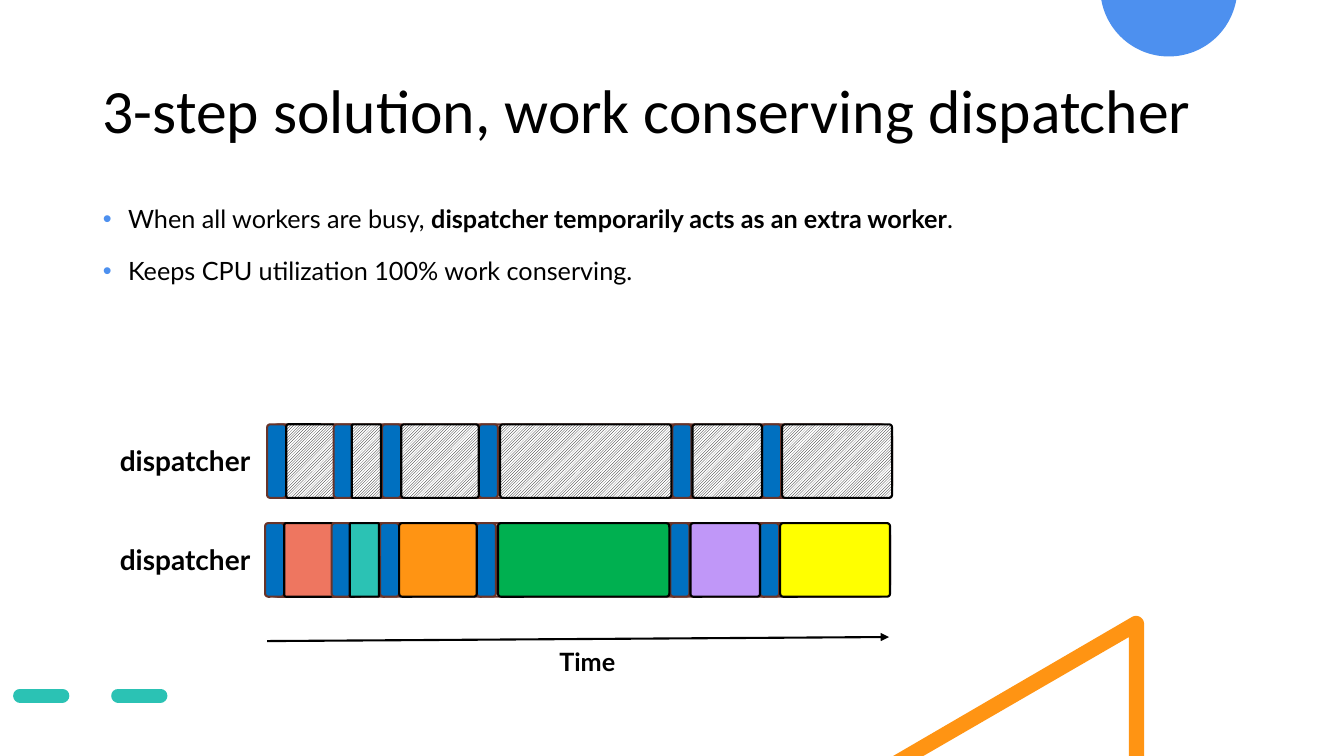
import math
from lxml import etree
from pptx import Presentation
from pptx import util as u
from pptx.dml.color import RGBColor
from pptx.enum import dml, shapes, text
from pptx.oxml.ns import qn

COLORS = {
    "ink": "000000", "paper": "FFFFFF", "ball": "4D90EF", "orange": "FF9413",
    "teal": "2BC2B4", "switch": "0070C0", "frame": "68342A", "coral": "EE7660",
    "green": "00B050", "violet": "C097F8", "yellow": "FFFF00",
}
COLUMNS, ROWS = 133.33, 75  # grid cells of a tenth of an inch


def rgb(name):
    return RGBColor.from_string(COLORS[name])


class SlideKit:
    """Holds the style and the current slide; lengths are grid columns and rows."""

    heading_font, text_font, outline = "Calibri", "Lato", u.Pt(1.5)

    def __init__(self, deck):
        self.cell_w = deck.slide_width / COLUMNS
        self.cell_h = deck.slide_height / ROWS
        self.slide = deck.slides.add_slide(deck.slide_layouts[1])

    def grid(self, col, row):
        return round(col * self.cell_w), round(row * self.cell_h)

    def style(self, paragraph, size, font, bold=None):
        paragraph.font.size, paragraph.font.name = u.Pt(size), font
        paragraph.font.bold, paragraph.font.color.rgb = bold, rgb("ink")
        paragraph.alignment = text.PP_ALIGN.LEFT

    def place(self, holder, col, row, cols, rows, anchor):
        holder.left, holder.top = self.grid(col, row)
        holder.width, holder.height = self.grid(cols, rows)
        holder.text_frame.auto_size = text.MSO_AUTO_SIZE.NONE
        holder.text_frame.vertical_anchor = anchor

    def title(self, wording, *area):
        heading = self.slide.shapes.title
        self.place(heading, *area, text.MSO_ANCHOR.MIDDLE)
        heading.text_frame.text = wording
        line = heading.text_frame.paragraphs[0]
        line.line_spacing = 0.9
        self.style(line, 44, self.heading_font)

    def bullets(self, points, *area):
        """Each point is a list of (wording, bold) runs."""
        body = self.slide.placeholders[1]
        self.place(body, *area, text.MSO_ANCHOR.TOP)
        frame = body.text_frame
        for number, runs in enumerate(points):
            point = frame.add_paragraph() if number else frame.paragraphs[0]
            for wording, bold in runs:
                run = point.add_run()
                run.text, run.font.bold = wording, bold
            self.style(point, 18, self.text_font)
            point.line_spacing = 0.9
            point.space_before, point.space_after = u.Pt(10), u.Pt(8)
            props = point._p.get_or_add_pPr()
            props.set("marL", str(u.Inches(0.25)))
            props.set("indent", str(u.Inches(-0.25)))
            bullet_color = etree.Element(qn("a:buClr"))
            etree.SubElement(bullet_color, qn("a:srgbClr"), val=COLORS["ball"])
            marks = [bullet_color,
                     etree.Element(qn("a:buFont"), typeface="Arial"),
                     etree.Element(qn("a:buChar"), char="•")]
            following = props.find(qn("a:defRPr"))
            for mark in marks:
                following.addprevious(mark)

    def label(self, wording, size, *area):
        box = self.slide.shapes.add_textbox(*self.grid(*area[:2]), *self.grid(*area[2:]))
        box.text_frame.word_wrap = False
        box.text_frame.auto_size = text.MSO_AUTO_SIZE.SHAPE_TO_FIT_TEXT
        box.text_frame.text = wording
        self.style(box.text_frame.paragraphs[0], size, self.text_font, True)

    def bar(self, col, row, cols, rows, fill=None, line="ink", corner=None):
        bar = self.slide.shapes.add_shape(shapes.MSO_SHAPE.ROUNDED_RECTANGLE,
                                          *self.grid(col, row), *self.grid(cols, rows))
        bar.shadow.inherit = False
        if corner is not None:
            bar.adjustments[0] = corner
        if fill == "hatch":
            bar.fill.patterned()
            bar.fill.pattern = dml.MSO_PATTERN.LIGHT_UPWARD_DIAGONAL
            bar.fill.fore_color.rgb = rgb("ink")
            bar.fill.back_color.rgb = rgb("paper")
        elif fill:
            bar.fill.solid()
            bar.fill.fore_color.rgb = rgb(fill)
        else:
            bar.fill.background()
        bar.line.color.rgb, bar.line.width = rgb(line), self.outline

    def line(self, start, end, color, width, dashed=False, arrow=False):
        line = self.slide.shapes.add_connector(shapes.MSO_CONNECTOR.STRAIGHT,
                                               *self.grid(*start), *self.grid(*end))
        line.line.color.rgb, line.line.width = rgb(color), width
        if dashed:
            line.line.dash_style = dml.MSO_LINE.DASH
            line.line._ln.set("cap", "rnd")
        if arrow:
            etree.SubElement(line.line._ln, qn("a:tailEnd"), type="triangle")
        etree.SubElement(line._element.spPr, qn("a:effectLst"))

    def outline_shape(self, points, fill):
        corners = [self.grid(*point) for point in points]
        builder = self.slide.shapes.build_freeform(*corners[0])
        builder.add_line_segments(corners[1:], close=True)
        shape = builder.convert_to_shape()
        shape.shadow.inherit = False
        shape.fill.solid()
        shape.fill.fore_color.rgb = rgb(fill)
        shape.line.fill.background()


def arc(center, radius, first, last, steps):
    """Points on an arc, angles in degrees, clockwise from the right."""
    angles = [math.radians(first + (last - first) * i / steps) for i in range(steps + 1)]
    return [(center[0] + radius * math.cos(a), center[1] + radius * math.sin(a))
            for a in angles]


# Timeline content: offsets from the left end of a timeline
TIMELINE_COLS, BAR_ROWS, SWITCH_COLS = 62, 7.3, 1.9
SWITCHES = [0, 6.6, 11.4, 21, 40.2, 49.1]
TASKS = [(1.9, 4.8), (8.4, 2.9), (13.3, 7.7), (23.1, 17), (42.2, 6.9), (51.1, 10.9)]
TIMELINES = [
    (26.5, 42.1, ["hatch"] * len(TASKS)),
    (26.3, 51.9, ["coral", "teal", "orange", "green", "violet", "yellow"]),
]


def draw_timeline(kit, col, row, fills):
    kit.bar(col, row, TIMELINE_COLS, BAR_ROWS, line="frame")
    tasks = list(zip(TASKS, fills))
    # The first task lies below the second switch, later tasks above their switches
    for stage in (slice(0, 1), slice(1, None)):
        for offset in SWITCHES[stage]:
            kit.bar(col + offset, row, SWITCH_COLS, BAR_ROWS, "switch", "frame")
        for (offset, cols), fill in tasks[stage]:
            kit.bar(col + offset, row, cols, BAR_ROWS, fill, corner=0.04)
    kit.label("dispatcher", 20, 10.9, row + 1.4, 15.4, 4.4)


def main():
    deck = Presentation()
    deck.slide_width, deck.slide_height = u.Inches(13.33), u.Inches(7.5)
    kit = SlideKit(deck)

    # Corner decoration
    kit.outline_shape(arc((115.95, -1.2), 6.8, 10.16, 169.84, 60), "ball")
    tip = arc((112.7, 61.9), 0.8, 0, -120, 12)
    kit.outline_shape([(113.5, 75), *tip, (88.6, 75), (91.6, 75),
                       (112, 63.2), (112, 75)], "orange")
    kit.line((2, 69), (19.5, 69), "teal", u.Pt(10), dashed=True)

    # Title and points
    kit.title("3-step solution, work conserving dispatcher", 9.2, 4, 115, 14.5)
    kit.bullets([
        [("When all workers are busy, ", None),
         ("dispatcher temporarily acts as an extra worker", True), (".", None)],
        [("Keeps CPU utilization 100% work conserving.", None)],
    ], 9.2, 20, 104.4, 19.4)

    # Dispatcher timelines and time axis
    for col, row, fills in TIMELINES:
        draw_timeline(kit, col, row, fills)
    kit.line((26.5, 63.6), (88.2, 63.2), "ink", kit.outline, arrow=True)
    kit.label("Time", 18, 54.5, 63.6, 7.7, 4)

    deck.save("out.pptx")


if __name__ == "__main__":
    main()
